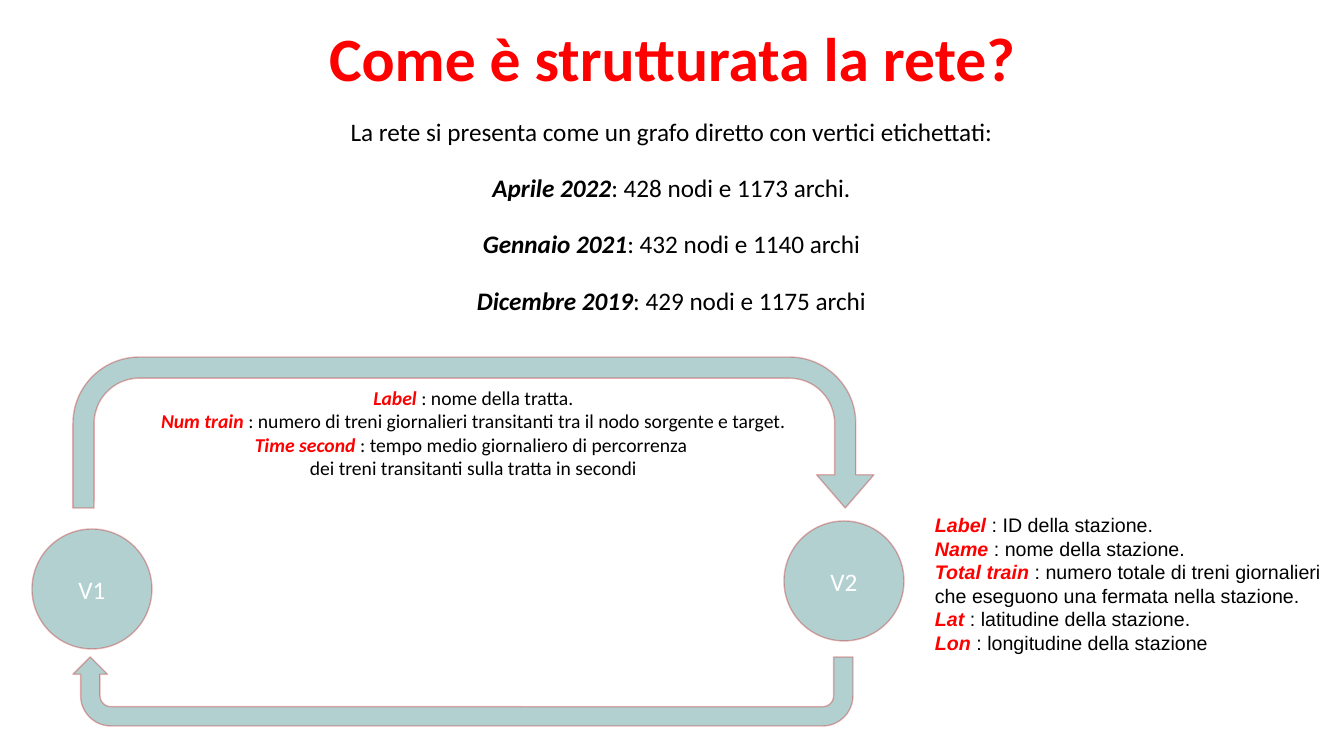
import pptx
import pptx.util
import pptx.dml.color
import pptx.enum.shapes
import pptx.enum.text
import pptx.oxml.ns
from dataclasses import dataclass
from lxml import etree

TITLE = "Come è strutturata la rete?"
NETWORK = [
    ("", "La rete si presenta come un grafo diretto con vertici etichettati:"),
    ("Aprile 2022", ": 428 nodi e 1173 archi."),
    ("Gennaio 2021", ": 432 nodi e 1140 archi"),
    ("Dicembre 2019", ": 429 nodi e 1175 archi"),
]
EDGE_FIELDS = [
    ("Label", " : nome della tratta."),
    ("Num train ", ": numero di treni giornalieri transitanti tra il nodo sorgente e target."),
    ("Time second ", ": tempo medio giornaliero di percorrenza "),
    ("", "dei treni transitanti sulla tratta in secondi"),
]
STATION_FIELDS = [
    ("Label ", ": ID della stazione."),
    ("Name ", ": nome della stazione."),
    ("Total train", " : numero totale di treni giornalieri che eseguono una fermata nella stazione."),
    ("Lat ", ": latitudine della stazione."),
    ("Lon", " : longitudine della stazione"),
]
NODE_SIZE = 120
NODES = [("V1", 32, 529), ("V2", 784, 521)]
OUTGOING = ((73, 357, 801, 151), (0.14, 0.19, 0.22, 0.44, 1), 0)
RETURNING = ((73, 657, 780, 69), (0.28, 0.25, 0.25, 0.44, 1), 180)


@dataclass(frozen=True)
class Theme:
    accent: str = "FF0000"
    ink: str = "000000"
    light: str = "FFFFFF"
    fill: str = "006464"
    outline: str = "C00000"
    opacity: int = 30
    main_font: str = "Calibri"
    station_font: str = "Arial"
    title: int = 44
    body: int = 18
    detail: int = 14


THEME = Theme()
EMU_PER_INCH = 914400
PX_PER_INCH = 100.8
CENTER = pptx.enum.text.PP_ALIGN.CENTER
LEFT = pptx.enum.text.PP_ALIGN.LEFT
MIDDLE = pptx.enum.text.MSO_ANCHOR.MIDDLE
SHAPES = pptx.enum.shapes.MSO_SHAPE


def px(length):
    return pptx.util.Emu(round(length * EMU_PER_INCH / PX_PER_INCH))


def box(*lengths):
    return [px(length) for length in lengths]


def rgb(color):
    return pptx.dml.color.RGBColor.from_string(color)


def place(shape, *lengths):
    shape.left, shape.top, shape.width, shape.height = box(*lengths)


def style(run, size, color, font=THEME.main_font, bold=False, italic=False):
    run.font.name = font
    run.font.size = pptx.util.Pt(size)
    run.font.color.rgb = rgb(color)
    run.font.bold = bold
    run.font.italic = italic


def write_fields(frame, fields, size, term_color, font=THEME.main_font, align=CENTER):
    frame.word_wrap = True
    for index, (term, meaning) in enumerate(fields):
        line = frame.add_paragraph() if index else frame.paragraphs[0]
        line.alignment = align
        if term:
            term_run = line.add_run()
            term_run.text = term
            style(term_run, size, term_color, font, True, True)
        meaning_run = line.add_run()
        meaning_run.text = meaning
        style(meaning_run, size, THEME.ink, font)


def tint(shape):
    shape.shadow.inherit = False
    shape.fill.solid()
    shape.fill.fore_color.rgb = rgb(THEME.fill)
    shape.line.color.rgb = rgb(THEME.outline)
    shape.line.width = pptx.util.Pt(1)
    qn = pptx.oxml.ns.qn
    for color in shape.element.spPr.iter(qn("a:srgbClr")):
        etree.SubElement(color, qn("a:alpha")).set("val", str(THEME.opacity * 1000))


def add_node(slide, name, left, top):
    node = slide.shapes.add_shape(SHAPES.OVAL, *box(left, top, NODE_SIZE, NODE_SIZE))
    tint(node)
    node.text_frame.text = name
    node.text_frame.vertical_anchor = MIDDLE
    label = node.text_frame.paragraphs[0]
    label.alignment = CENTER
    style(label.runs[0], THEME.body, THEME.light)


def add_arrow(slide, bounds, adjustments, rotation):
    arrow = slide.shapes.add_shape(SHAPES.U_TURN_ARROW, *box(*bounds))
    for index, value in enumerate(adjustments):
        arrow.adjustments[index] = value
    arrow.rotation = rotation
    tint(arrow)
    return arrow


def main():
    deck = pptx.Presentation()
    deck.slide_width, deck.slide_height = box(1344, 756)
    slide = deck.slides.add_slide(deck.slide_layouts[1])

    heading = slide.shapes.title
    place(heading, 93, 16, 1159, 92)
    heading.text_frame.text = TITLE
    heading.text_frame.vertical_anchor = MIDDLE
    heading_line = heading.text_frame.paragraphs[0]
    heading_line.alignment = CENTER
    heading_line.line_spacing = 0.9
    style(heading_line.runs[0], THEME.title, THEME.accent, bold=True)

    network = slide.placeholders[1]
    place(network, 43, 99, 1257, 224)
    write_fields(network.text_frame, NETWORK, THEME.body, THEME.ink)
    for line in network.text_frame.paragraphs:
        line.line_spacing = 1.4
        line.space_before = pptx.util.Pt(10)
        properties = line._p.get_or_add_pPr()
        properties.set("marL", "0")
        properties.set("indent", "0")
        etree.SubElement(properties, pptx.oxml.ns.qn("a:buNone"))

    for node in NODES:
        add_node(slide, *node)

    outgoing = add_arrow(slide, *OUTGOING)
    outgoing.text_frame.vertical_anchor = MIDDLE
    write_fields(outgoing.text_frame, EDGE_FIELDS, THEME.detail, THEME.accent)
    add_arrow(slide, *RETURNING)

    station = slide.shapes.add_textbox(*box(925, 508, 410, 152))
    write_fields(station.text_frame, STATION_FIELDS, THEME.detail, THEME.accent,
                 THEME.station_font, LEFT)

    deck.save("out.pptx")


if __name__ == "__main__":
    main()
